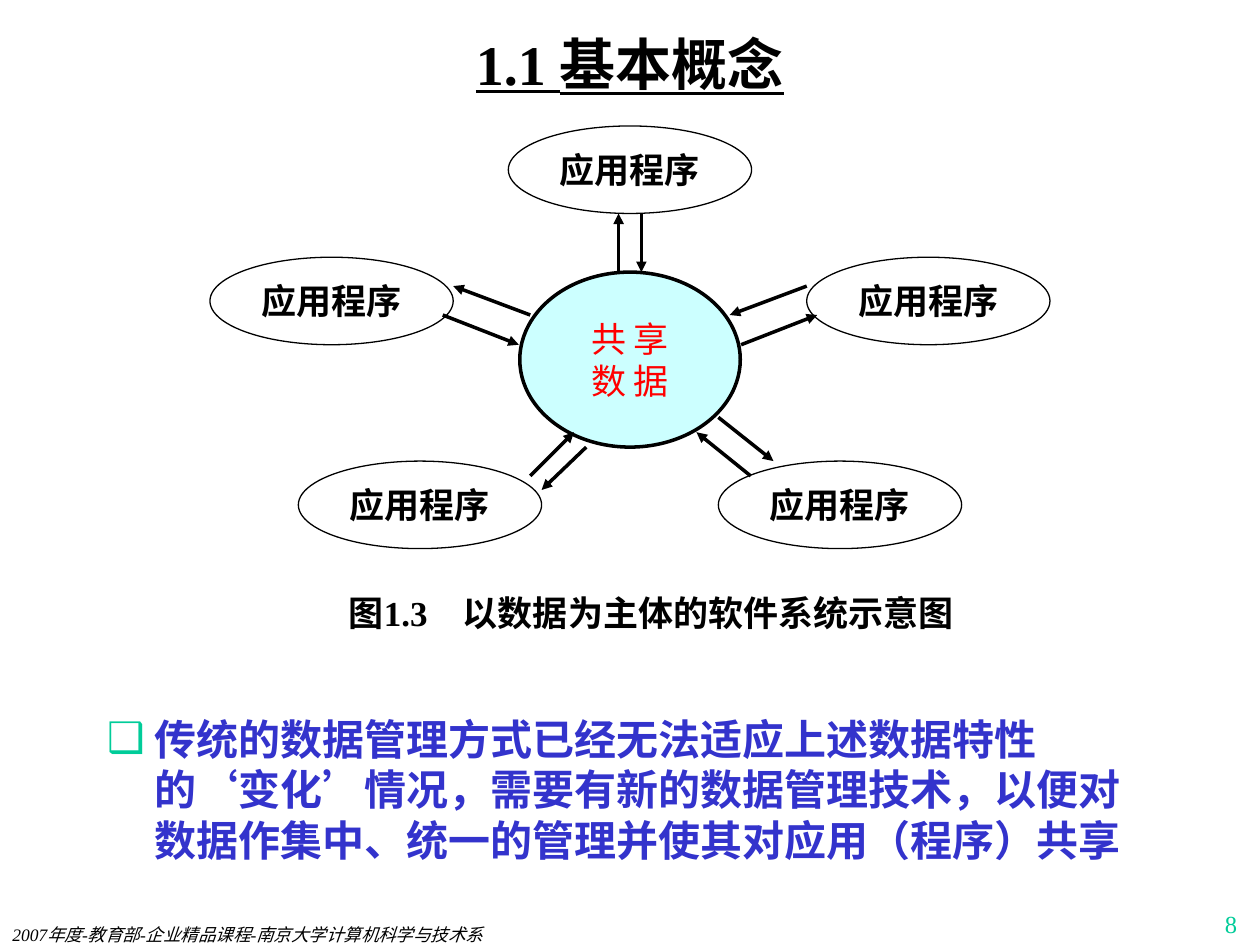
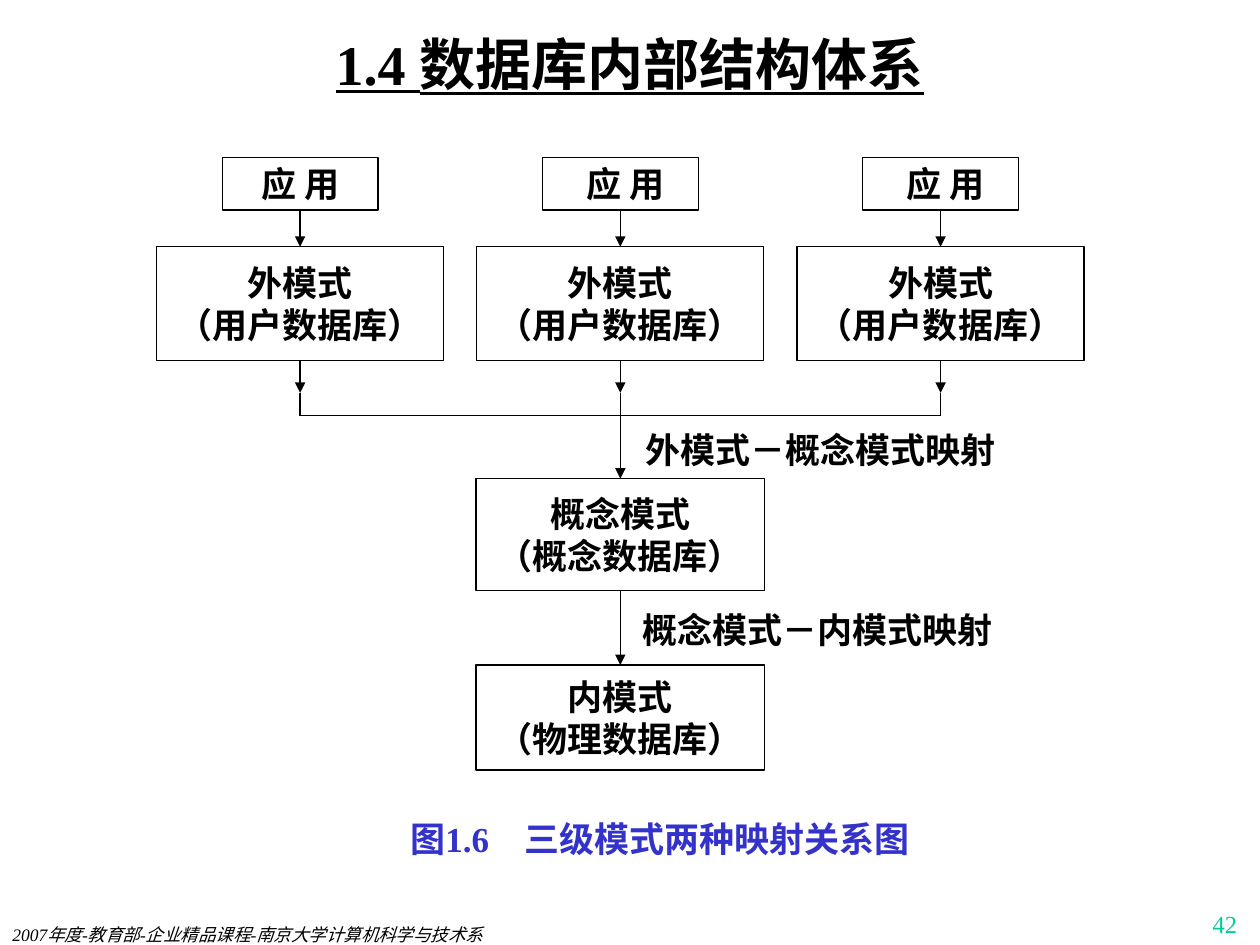
from lxml import etree
from pptx import Presentation
from pptx.dml.color import RGBColor
from pptx.enum.shapes import MSO_CONNECTOR, MSO_SHAPE
from pptx.enum.text import MSO_ANCHOR, PP_ALIGN
from pptx.oxml.ns import qn
from pptx.util import Pt

BLACK = RGBColor(0x00, 0x00, 0x00)
WHITE = RGBColor(0xFF, 0xFF, 0xFF)
RED = RGBColor(0xFF, 0x00, 0x00)
GREEN = RGBColor(0x00, 0xCC, 0x99)
BLUE = RGBColor(0x33, 0x33, 0xCC)
PALE_CYAN = RGBColor(0xCC, 0xFF, 0xFF)

SERIF = "Times New Roman"
CHINESE = "Noto Sans CJK SC"
FOOTER = "2007年度-教育部-企业精品课程-南京大学计算机科学与技术系"
TITLE_LAYOUT_BODY, TITLE_LAYOUT_ONLY = 1, 5
THIN, THICK = 0.75, 2
LINE_RATIO = 1.2


def place(shape, box):
    shape.left, shape.top, shape.width, shape.height = map(Pt, box)


def write(shape, text, size=20, color=BLACK, bold=True, italic=False, underline=False,
          font=SERIF, align=PP_ALIGN.CENTER, anchor=MSO_ANCHOR.MIDDLE, inset=(7.2, 3.6)):
    """Fill a shape with text and format every paragraph and run."""
    frame = shape.text_frame
    frame.text = text
    frame.word_wrap = True
    frame.vertical_anchor = anchor
    frame.margin_left = frame.margin_right = Pt(inset[0])
    frame.margin_top = frame.margin_bottom = Pt(inset[1])
    for paragraph in frame.paragraphs:
        paragraph.alignment = align
        paragraph.space_before = Pt(0)
        if len(frame.paragraphs) > 1:
            paragraph.line_spacing = Pt(size * LINE_RATIO)
        for run in paragraph.runs:
            run.font.name = font
            run.font.size = Pt(size)
            run.font.color.rgb = color
            run.font.bold, run.font.italic, run.font.underline = bold, italic, underline
            properties = run._r.get_or_add_rPr()
            properties.set("lang", "zh-CN")
            etree.SubElement(properties, qn("a:ea"), typeface=CHINESE)


def add_text(slide, box, text, **style):
    shape = slide.shapes.add_textbox(*map(Pt, box))
    write(shape, text, **style)


def add_node(slide, kind, box, text, fill=WHITE, line_width=THIN, **style):
    shape = slide.shapes.add_shape(kind, *map(Pt, box))
    shape.shadow.inherit = False
    shape.fill.solid()
    shape.fill.fore_color.rgb = fill
    shape.line.color.rgb = BLACK
    shape.line.width = Pt(line_width)
    write(shape, text, **style)
    return shape


def add_line(slide, start, end, width=THIN, arrow=True, source=None, target=None):
    """Draw a line; source is joined at its bottom, target at its top."""
    connector = slide.shapes.add_connector(MSO_CONNECTOR.STRAIGHT, *map(Pt, (*start, *end)))
    connector.line.color.rgb = BLACK
    connector.line.width = Pt(width)
    properties = connector._element.spPr
    if arrow:
        etree.SubElement(properties.find(qn("a:ln")), qn("a:tailEnd"), type="triangle")
    etree.SubElement(properties, qn("a:effectLst"))
    if source is not None:
        connector.begin_connect(source, 2)
    if target is not None:
        connector.end_connect(target, 0)


def add_course_slide(presentation, layout, title, number):
    """Add a slide with the shared title style, footer and page number."""
    slide = presentation.slides.add_slide(presentation.slide_layouts[layout])
    place(slide.shapes.title, (54, 18, 612, 36))
    write(slide.shapes.title, title, size=32, underline=True, inset=(7.2, 0))
    add_text(slide, (0, 528, 396, 12), FOOTER, size=10, bold=False, italic=True,
             align=PP_ALIGN.LEFT, anchor=MSO_ANCHOR.TOP, inset=(7.2, 0))
    add_text(slide, (564, 516, 150, 18), str(number), size=14, color=GREEN, bold=False,
             align=PP_ALIGN.RIGHT, anchor=MSO_ANCHOR.TOP)
    return slide


def add_bullet_body(slide, box, text):
    body = slide.placeholders[1]
    place(body, box)
    write(body, text, size=24, color=BLUE, align=PP_ALIGN.LEFT, anchor=MSO_ANCHOR.TOP)
    paragraph = body.text_frame.paragraphs[0]
    paragraph.line_spacing = Pt(24 * LINE_RATIO)
    properties = paragraph._p.get_or_add_pPr()
    properties.set("marL", str(Pt(27)))
    properties.set("indent", str(-Pt(27)))
    bullet_color = etree.SubElement(properties, qn("a:buClr"))
    etree.SubElement(bullet_color, qn("a:srgbClr"), val=str(GREEN))
    etree.SubElement(properties, qn("a:buChar"), char="❑")


def add_shared_data_diagram(slide, left, top):
    """Shared data in the middle, exchanging data with five applications."""
    add_node(slide, MSO_SHAPE.OVAL, (left + 177, top + 83.5, 126, 100), "共 享\n数 据",
             fill=PALE_CYAN, line_width=THICK, color=RED, bold=False, font=CHINESE)
    for x, y in ((170.5, 0), (0, 75), (341, 75), (290.5, 191.5), (50.5, 191.5)):
        add_node(slide, MSO_SHAPE.OVAL, (left + x, top + y, 139, 50), "应用程序", inset=(0, 0))
    arrows = (
        ((233.5, 83.5), (233.5, 50)), ((246.5, 50), (246.5, 83.5)),
        ((133, 108), (176.5, 125)), ((183, 108), (139, 91.5)),
        ((341, 91.5), (297, 108)), ((303.5, 125), (347, 108)),
        ((183, 200), (208, 175)), ((215, 183.5), (189.5, 208)),
        ((309, 200), (278, 175)), ((290.5, 166.5), (322, 191.5)),
    )
    for start, end in arrows:
        add_line(slide, *((left + x, top + y) for x, y in (start, end)), width=THICK)


def add_schema_diagram(slide, left, top):
    """Three external schemas mapped to the conceptual and then the internal schema."""
    centers = [left + 82.5 + 183 * column for column in range(3)]
    middle = centers[1]
    bus = top + 147.5

    def add_box(center, y, width, height, text):
        return add_node(slide, MSO_SHAPE.RECTANGLE,
                        (center - width / 2, top + y, width, height), text)

    for column, center in enumerate(centers):
        application = add_box(center, 0, 89, 30, "应 用")
        if column:
            application.text_frame.margin_left = Pt(13.2)
        external = add_box(center, 51, 164, 65, "外模式\n（用户数据库）")
        add_line(slide, (center, top + 30), (center, top + 51),
                 source=application, target=external)
        add_line(slide, (center, top + 116), (center, top + 134.5), source=external)
        add_line(slide, (center, top + 134.5), (center, bus), arrow=False)
    add_line(slide, (centers[0], bus), (centers[-1], bus), arrow=False)

    conceptual = add_box(middle, 183.5, 165, 64, "概念模式\n（概念数据库）")
    internal = add_box(middle, 290, 165, 60, "内模式\n（物理数据库）")
    add_line(slide, (middle, bus), (middle, top + 183.5), target=conceptual)
    add_line(slide, (middle, top + 247.5), (middle, top + 290),
             source=conceptual, target=internal)
    for x, y, label in ((7, 149, "外模式－概念模式映射"), (5.5, 251.5, "概念模式－内模式映射")):
        add_text(slide, (middle + x, top + y, 240, 36), label, align=PP_ALIGN.LEFT)


def build_concept_slide(presentation):
    slide = add_course_slide(presentation, TITLE_LAYOUT_BODY, "1.1 基本概念", 8)
    add_shared_data_diagram(slide, 120, 72)
    add_text(slide, (163.5, 327.5, 417.5, 44.5), "图1.3　以数据为主体的软件系统示意图")
    add_bullet_body(slide, (54, 404, 612, 108),
                    "传统的数据管理方式已经无法适应上述数据特性的‘变化’情况，"
                    "需要有新的数据管理技术，以便对数据作集中、统一的管理并使其对应用（程序）共享")


def build_structure_slide(presentation):
    slide = add_course_slide(presentation, TITLE_LAYOUT_ONLY, "1.4 数据库内部结构体系", 42)
    add_schema_diagram(slide, 89, 90)
    add_text(slide, (204.5, 463, 345.5, 32.5), "图1.6　三级模式两种映射关系图", color=BLUE)


def main():
    presentation = Presentation()
    presentation.slide_width, presentation.slide_height = Pt(720), Pt(540)
    build_concept_slide(presentation)
    build_structure_slide(presentation)
    presentation.save("out.pptx")


if __name__ == "__main__":
    main()
